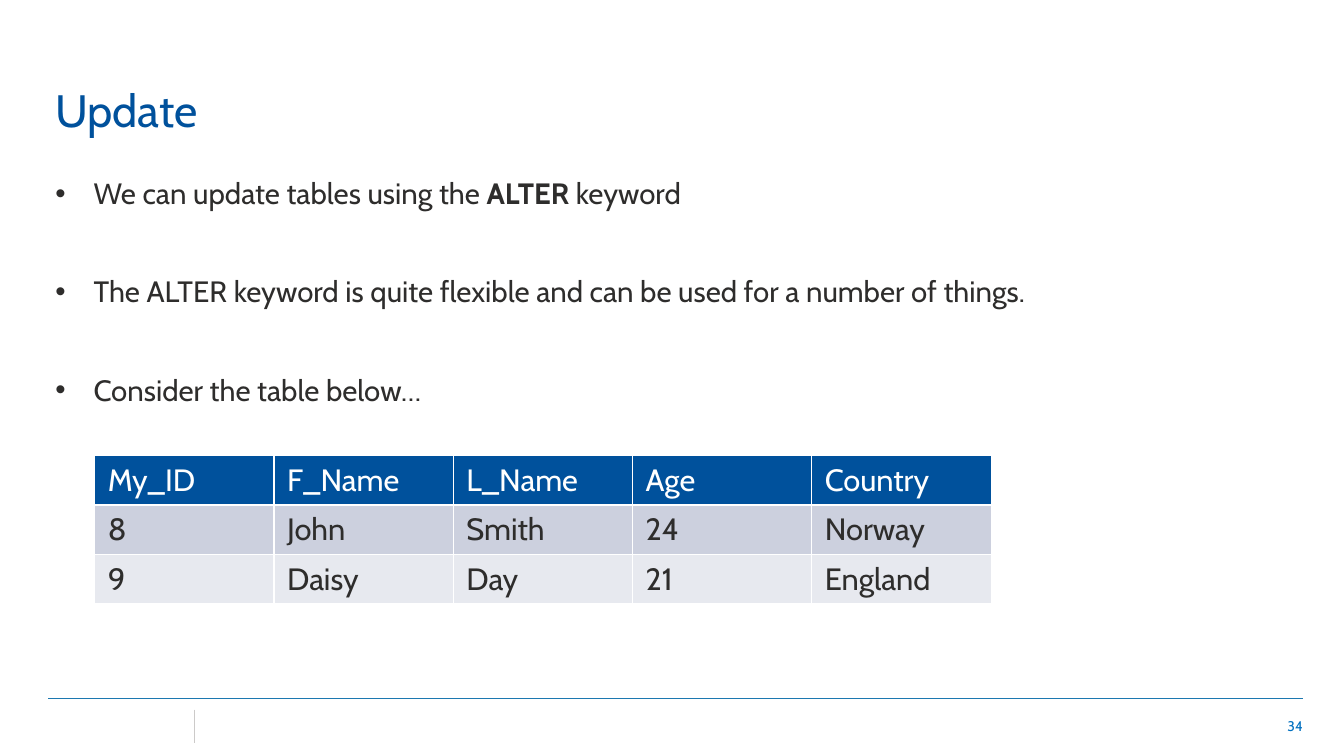
import pptx
import pptx.util
import pptx.dml.color
import pptx.enum.shapes
import pptx.enum.text
import pptx.oxml.ns
from lxml import etree

Inches, Pt = pptx.util.Inches, pptx.util.Pt
PP_ALIGN, ANCHOR = pptx.enum.text.PP_ALIGN, pptx.enum.text.MSO_ANCHOR
qn = pptx.oxml.ns.qn
COLORS = {"title": "00519C", "text": "2E2D2C", "number": "0070C0", "rule": "1C78B0",
          "divider": "CCCAC9", "white": "FFFFFF", "band1": "CCD0DE", "band2": "E7E9EF"}


def add_run(p, text, size, color, bold=False):
    r = p.add_run()
    r.text = text
    r.font.name = "Cabin"
    r.font.size = Pt(size)
    r.font.bold = bold
    r.font.color.rgb = pptx.dml.color.RGBColor.from_string(COLORS[color])


def add_box(s, left, top, width, height, anchor):
    tf = s.shapes.add_textbox(Inches(left), Inches(top), Inches(width), Inches(height)).text_frame
    tf.word_wrap = True
    tf.vertical_anchor = anchor
    return tf


prs = pptx.Presentation()
prs.slide_width, prs.slide_height = Inches(13.33), Inches(7.5)
s = prs.slides.add_slide(prs.slide_layouts[6])

# Footer lines
for x1, y1, x2, y2, color in [(0.48, 6.93, 12.92, 6.93, "rule"),
                              (1.93, 7.04, 1.93, 7.37, "divider")]:
    line = s.shapes.add_connector(pptx.enum.shapes.MSO_CONNECTOR.STRAIGHT,
                                  Inches(x1), Inches(y1), Inches(x2), Inches(y2))
    line.line.color.rgb = pptx.dml.color.RGBColor.from_string(COLORS[color])
    line.line.width = Pt(0.25)
    etree.SubElement(line._element.spPr, qn("a:effectLst"))

# Slide number
p = add_box(s, 9.91, 7, 3.11, 0.4, ANCHOR.MIDDLE).paragraphs[0]
p.alignment = PP_ALIGN.RIGHT
add_run(p, "34", 10, "number")

# Title
tf = add_box(s, 0.45, 0.71, 9.98, 0.69, ANCHOR.BOTTOM)
add_run(tf.paragraphs[0], "Update", 32.4, "title")

# Bullets, as (text, bold) runs
bullets = [
    [("We can update tables using the ", False), ("ALTER", True), (" keyword", False)],
    [("The ALTER keyword is quite flexible and can be used for a number of things.", False)],
    [("Consider the table below…", False)],
]
tf = add_box(s, 0.45, 1.69, 12.47, 4.97, ANCHOR.TOP)
for i, runs in enumerate(bullets):
    p = tf.add_paragraph() if i else tf.paragraphs[0]
    pPr = p._p.get_or_add_pPr()
    pPr.set("marL", str(Inches(0.38)))
    pPr.set("indent", str(-Inches(0.38)))
    etree.SubElement(pPr, qn("a:buFont"), typeface="Arial")
    etree.SubElement(pPr, qn("a:buChar"), char="•")
    p.space_before = Pt(37 if i else 0)
    p.space_after = Pt(8)
    for text, bold in runs:
        add_run(p, text, 21, "text", bold)

# Table
rows = [
    ["My_ID", "F_Name", "L_Name", "Age", "Country"],
    ["8", "John", "Smith", "24", "Norway"],
    ["9", "Daisy", "Day", "21", "England"],
]
fills = ["title", "band1", "band2"]
table = s.shapes.add_table(len(rows), len(rows[0]), Inches(0.94), Inches(4.52),
                           Inches(8.89), Inches(1.47)).table
for row in table.rows:
    row.height = Inches(0.49)
for i, values in enumerate(rows):
    for j, value in enumerate(values):
        cell = table.cell(i, j)
        cell.margin_left = cell.margin_right = Inches(0.13)
        cell.margin_top = cell.margin_bottom = Inches(0.06)
        tcPr = cell._tc.get_or_add_tcPr()
        for side in ("lnL", "lnR", "lnT", "lnB"):
            ln = etree.SubElement(tcPr, qn("a:" + side), w=str(Pt(1)))
            fill = etree.SubElement(ln, qn("a:solidFill"))
            etree.SubElement(fill, qn("a:srgbClr"), val=COLORS["white"])
        cell.fill.solid()
        cell.fill.fore_color.rgb = pptx.dml.color.RGBColor.from_string(COLORS[fills[i]])
        add_run(cell.text_frame.paragraphs[0], value, 22, "text" if i else "white")

prs.save("out.pptx")
